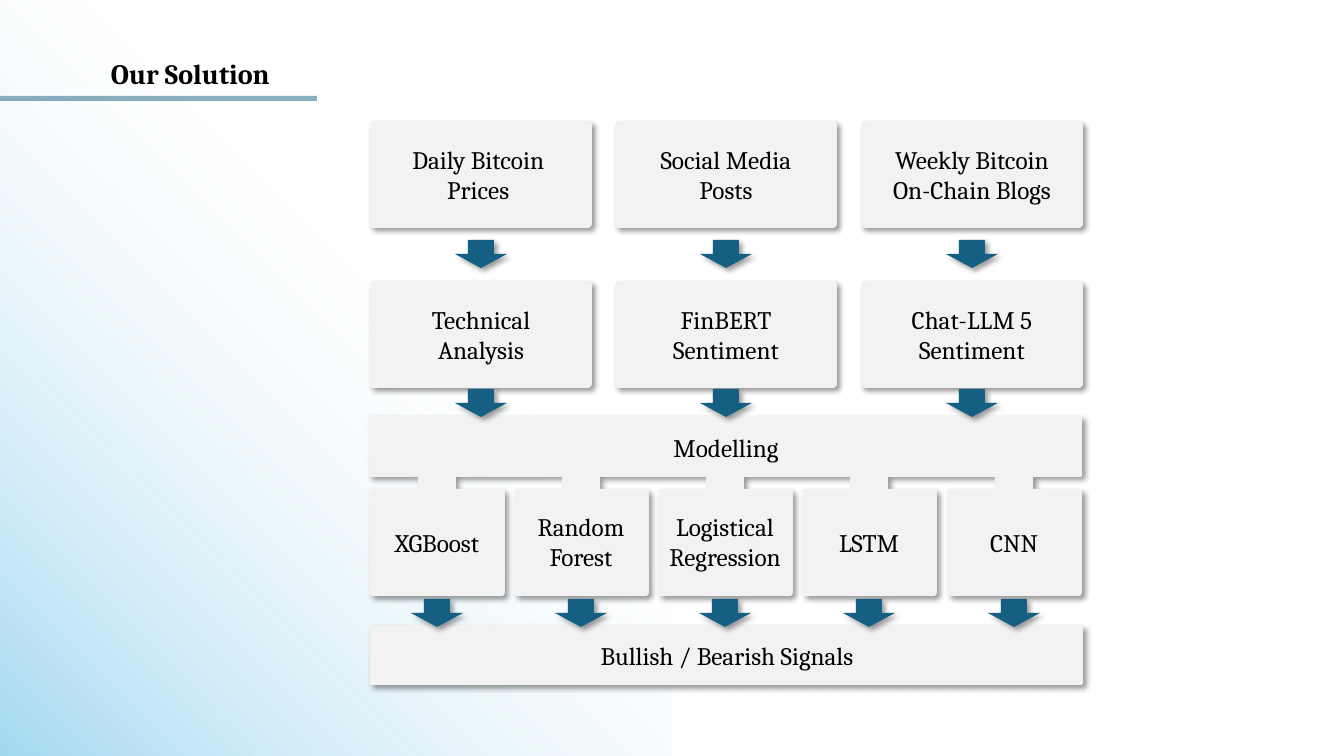
from lxml import etree
from math import dist
from pptx import Presentation
from pptx.dml.color import RGBColor
from pptx.enum.shapes import MSO_SHAPE
from pptx.enum.text import MSO_ANCHOR, MSO_AUTO_SIZE, PP_ALIGN
from pptx.oxml import parse_xml
from pptx.oxml.ns import qn
from pptx.util import Pt

RECT, CARD, ARROW = MSO_SHAPE.RECTANGLE, MSO_SHAPE.ROUNDED_RECTANGLE, MSO_SHAPE.DOWN_ARROW
BOTTOM, CENTER, FIT = MSO_ANCHOR.BOTTOM, PP_ALIGN.CENTER, MSO_AUTO_SIZE.SHAPE_TO_FIT_TEXT
NS = "http://schemas.openxmlformats.org/drawingml/2006/main"
PX = 914400 / 100.8
THEME = {
    "font": "Cambria", "title": Pt(20), "body": Pt(18),
    "text": RGBColor.from_string("000000"),
    "card": RGBColor.from_string("F2F2F2"),
    "accent": RGBColor.from_string("156082"),
    "glow": "A2D8F0", "glow_end": "F0F8FD", "shadow": "000000",
}


def px(*lengths):
    return [round(n * PX) for n in lengths]


def paint(s, color, shadow=True):
    """Fill without outline, with an optional soft drop shadow."""
    s.fill.solid()
    s.fill.fore_color.rgb = color
    s.line.fill.background()
    s.shadow.inherit = False
    if shadow:
        s._element.spPr.find(qn("a:effectLst")).append(parse_xml(
            f'<a:outerShdw xmlns:a="{NS}" blurRad="50800" dist="38100" dir="2700000" '
            f'algn="tl" rotWithShape="0"><a:srgbClr val="{THEME["shadow"]}">'
            '<a:alpha val="40000"/></a:srgbClr></a:outerShdw>'))


prs = Presentation()
prs.slide_width, prs.slide_height = px(1344, 756)
shapes = prs.slides.add_slide(prs.slide_layouts[6]).shapes

# Background glow from the bottom left corner
glow = shapes.add_shape(RECT, *px(0, 0, 672, 758))
paint(glow, THEME["card"], shadow=False)
solid = glow._element.spPr.find(qn("a:solidFill"))
solid.getparent().replace(solid, parse_xml(
    f'<a:gradFill xmlns:a="{NS}"><a:gsLst>'
    f'<a:gs pos="0"><a:srgbClr val="{THEME["glow"]}"/></a:gs>'
    f'<a:gs pos="62000"><a:srgbClr val="{THEME["glow_end"]}"><a:alpha val="0"/></a:srgbClr></a:gs>'
    '</a:gsLst><a:path path="circle"><a:fillToRect t="100000" r="100000"/></a:path></a:gradFill>'))

# Grid: left edges and centres of the pipeline columns and the models
CARD_W, CARD_H, MODEL_W = 222, 107, 135
column_x = [370 + 491 * i // 2 for i in range(3)]
model_x = [370 + 577 * i // 4 for i in range(5)]
column_mid = [x + CARD_W // 2 for x in column_x]
model_mid = [x + MODEL_W // 2 for x in model_x]

# Modelling bar joined to its five models: corners as x, y, radius
BAR_TOP, BAR_BOTTOM, MODEL_TOP = 416, 477, 489
MODEL_BOTTOM = MODEL_TOP + CARD_H
corners = [(369, BAR_TOP, 2), (1082, BAR_TOP, 2), (1082, BAR_BOTTOM, 2)]
for x, mid in zip(reversed(model_x), reversed(model_mid)):
    corners += [
        (mid + 19, BAR_BOTTOM, 0), (mid + 19, MODEL_TOP, 0),
        (x + MODEL_W, MODEL_TOP, 4), (x + MODEL_W, MODEL_BOTTOM, 4),
        (x, MODEL_BOTTOM, 4), (x, MODEL_TOP, 4),
        (mid - 19, MODEL_TOP, 0), (mid - 19, BAR_BOTTOM, 0),
    ]
corners.append((369, BAR_BOTTOM, 2))

outline = []
for i, (x, y, radius) in enumerate(corners):
    if not radius:
        outline.append(px(x, y))
        continue
    before, after = corners[i - 1][:2], corners[(i + 1) % len(corners)][:2]
    a, b = radius / dist(before, (x, y)), radius / dist(after, (x, y))
    for t in (0, 0.25, 0.5, 0.75, 1):
        u, v = a * (1 - t) ** 2, b * t ** 2
        outline.append(px(x + u * (before[0] - x) + v * (after[0] - x),
                          y + u * (before[1] - y) + v * (after[1] - y)))
builder = shapes.build_freeform(*outline[0])
builder.add_line_segments(outline[1:], close=True)
paint(builder.convert_to_shape(), THEME["card"])

# Title and its rule
rule = shapes.add_shape(RECT, *px(0, 96, 317, 5))
paint(rule, THEME["accent"], shadow=False)
rule_color = rule._element.spPr.find(qn("a:solidFill"))[0]
etree.SubElement(rule_color, qn("a:alpha")).set("val", "50000")

tf = shapes.add_textbox(*px(101, 46, 244, 49)).text_frame
tf.word_wrap = True
tf.vertical_anchor = BOTTOM
p = tf.paragraphs[0]
p.text = "Our Solution"
p.line_spacing, p.space_after = 0.9, Pt(6)
p.font.name, p.font.size, p.font.bold = THEME["font"], THEME["title"], True
p.font.color.rgb = THEME["text"]

# Cards
cards = [(x, y, CARD_W, CARD_H) for y in (121, 281) for x in column_x]
cards.append((370, 625, 713, 60))
for card in cards:
    s = shapes.add_shape(CARD, *px(*card))
    s.adjustments[0] = 0.037
    paint(s, THEME["card"])

# Labels: centre height, centres, then text and box width
label_rows = [
    (175, column_mid, [("Daily Bitcoin \nPrices ", 173), ("Social Media\nPosts", 165),
                       ("Weekly Bitcoin\nOn-Chain Blogs", 200)]),
    (335, column_mid, [("Technical\nAnalysis", 128), ("FinBERT\nSentiment", 134),
                       ("Chat-LLM 5\nSentiment", 152)]),
    (447, [726], [("Modelling", 664)]),
    (542, model_mid, [("XGBoost", 119), ("Random\nForest", 117),
                      ("Logistical\nRegression", 144), ("LSTM", 89), ("CNN", 81)]),
    (655, [727], [("Bullish / Bearish Signals", 664)]),
]
for mid_y, centres, labels in label_rows:
    for mid_x, (text, w) in zip(centres, labels):
        h = 72 if "\n" in text else 40
        tf = shapes.add_textbox(*px(mid_x - w / 2, mid_y - h / 2, w, h)).text_frame
        tf.word_wrap = len(centres) == 1
        tf.auto_size = FIT
        tf.text = text
        for p in tf.paragraphs:
            p.alignment = CENTER
            p.font.name, p.font.size = THEME["font"], THEME["body"]
            p.font.color.rgb = THEME["text"]

# Arrows between the stages
for y, centres in ((240, column_mid), (389, column_mid), (599, model_mid)):
    for mid_x in centres:
        paint(shapes.add_shape(ARROW, *px(mid_x - 26, y, 52, 28)), THEME["accent"])

prs.save("out.pptx")
